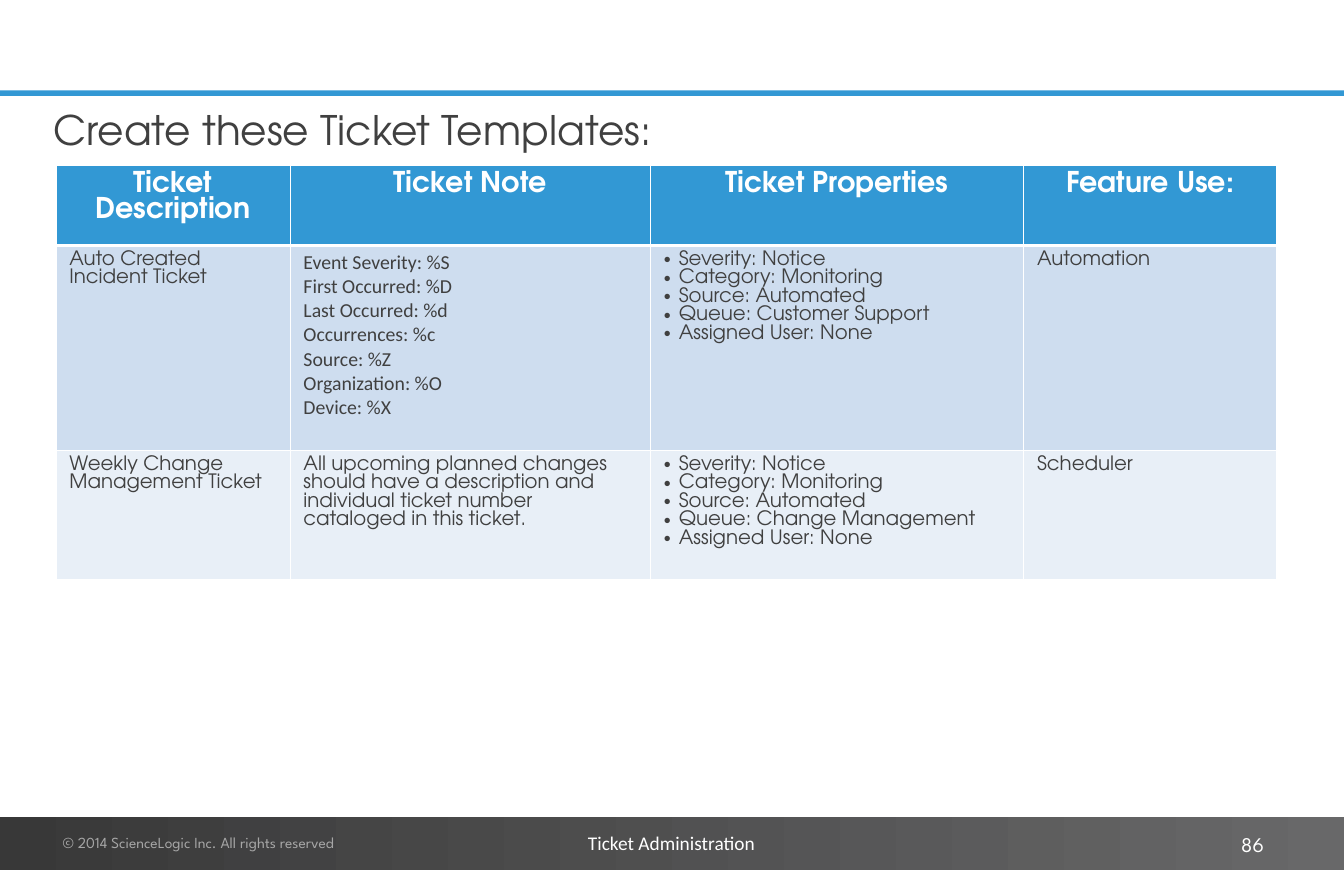
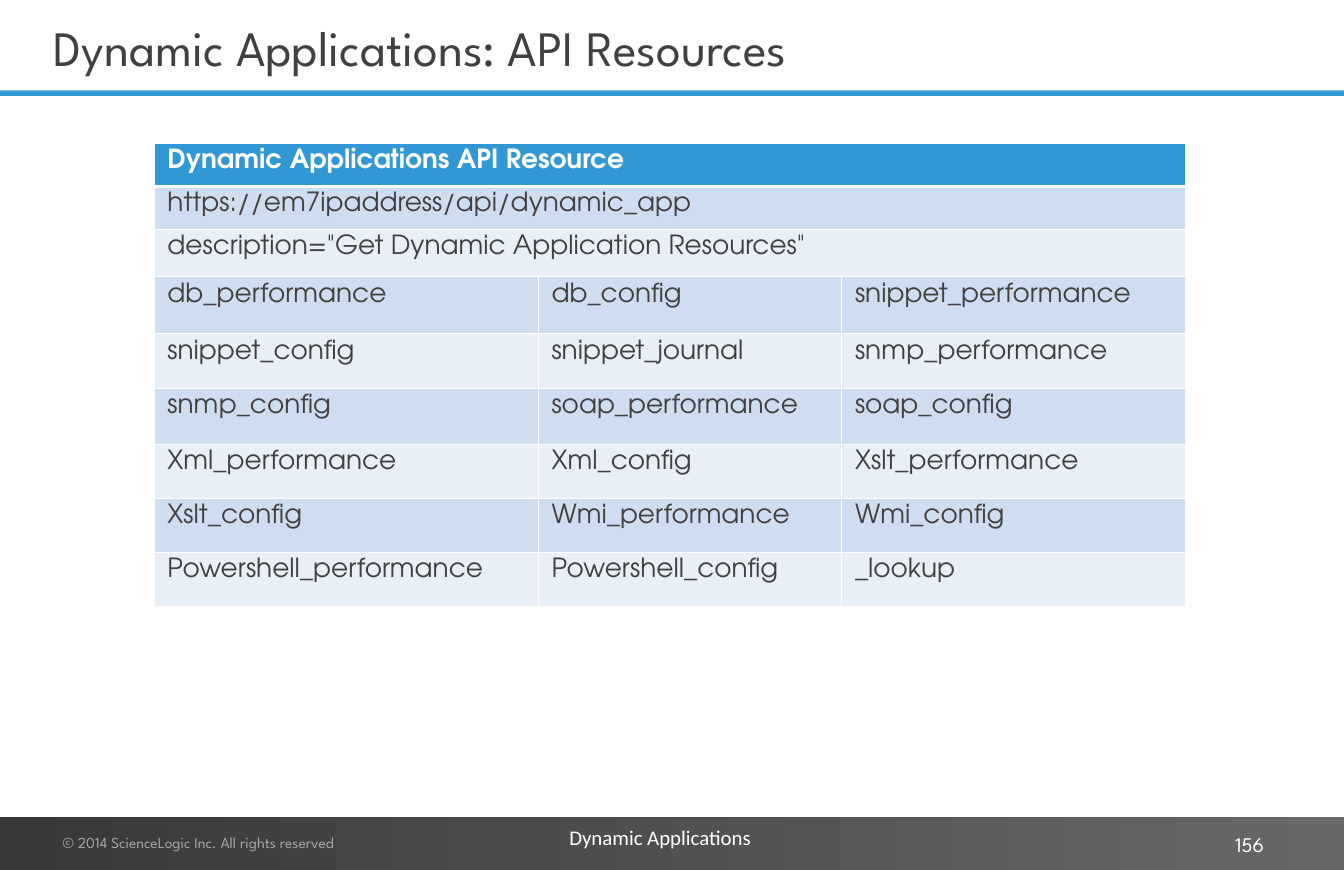
from pptx import Presentation
from pptx.dml.color import RGBColor as Rgb
from pptx.enum.shapes import MSO_SHAPE as Shape
from pptx.enum.text import MSO_ANCHOR as Anchor, PP_ALIGN as Align
from pptx.oxml.ns import qn
from pptx.util import Cm, Pt
from lxml.etree import SubElement as Sub

HUES = {"blue": "3298D4", "dark": "383838", "mid": "686869", "grey": "A6A6A6",
        "ink": "404040", "white": "FFFFFF", "odd": "CEDDEF", "even": "E8EFF7"}
HEAD, BODY, PLAIN = "League Spartan", "TeX Gyre Adventor", "Calibri"
WIDE, HIGH = 43.18, 27.94
BASE = 26.24
PAD = (0.41, 0.2)
TICKET = ["Severity: Notice", "Category: Monitoring", "Source: Automated"]
NOTES = ["Event Severity: %S", "First Occurred: %D", "Last Occurred: %d",
         "Occurrences: %c", "Source: %Z", "Organization: %O", "Device: %X"]


def hue(name):
    """Return the named colour."""
    return Rgb.from_string(HUES[name])


def write(para, text, size, font, tint, bold=False):
    """Add one styled run to a paragraph."""
    run = para.add_run()
    run.text = text
    run.font.size, run.font.name, run.font.bold = Pt(size), font, bold
    run.font.color.rgb = hue(tint)


def label(slide, box, text, size, font, tint, pad=PAD, wrap=True,
          align=Align.LEFT, anchor=Anchor.TOP, space=None):
    """Place a single line of text in a box."""
    frame = slide.shapes.add_textbox(*map(Cm, box)).text_frame
    frame.word_wrap, frame.vertical_anchor = wrap, anchor
    frame.margin_left = frame.margin_right = Cm(pad[0])
    frame.margin_top = frame.margin_bottom = Cm(pad[1])
    para = frame.paragraphs[0]
    para.alignment, para.line_spacing = align, space
    write(para, text, size, font, tint)


def band(slide, top, high):
    """Add a full-width band and return its fill."""
    bar = slide.shapes.add_shape(Shape.RECTANGLE, 0, Cm(top), Cm(WIDE), Cm(high))
    bar.shadow.inherit = False
    bar.line.fill.background()
    return bar.fill


def frame(deck, page):
    """Add a slide with its rule, footer and page number."""
    slide = deck.slides.add_slide(deck.slide_layouts[6])
    rule = band(slide, 2.9, 0.18)
    rule.solid()
    rule.fore_color.rgb = hue("blue")
    foot = band(slide, BASE, HIGH - BASE)
    foot.gradient()
    foot.gradient_angle = 0
    for stop, tint, place in zip(foot.gradient_stops, ("dark", "mid"), (0, 1)):
        stop.color.rgb, stop.position = hue(tint), place
    label(slide, (1.6, BASE + 0.33, 12.7, 1.02),
          "© 2014 ScienceLogic Inc. All rights reserved", 14, HEAD, "grey")
    label(slide, (30.94, BASE + 0.33, 10.08, 1.09), page, 19, HEAD, "white",
          align=Align.RIGHT, anchor=Anchor.MIDDLE)
    return slide


def edge(cell, row):
    """Draw white cell borders, thick below the header."""
    props = cell._tc.get_or_add_tcPr()
    for side in "LRTB":
        thick = (row, side) in ((0, "B"), (1, "T"))
        line = Sub(props, qn(f"a:ln{side}"), w=str(Pt(3 if thick else 1)))
        Sub(Sub(line, qn("a:solidFill")), qn("a:srgbClr"), val=HUES["white"])


def dot(para):
    """Give a paragraph a hanging bullet."""
    props = para._p.get_or_add_pPr()
    props.set("marL", str(Cm(0.48)))
    props.set("indent", str(-Cm(0.48)))
    Sub(props, qn("a:buFont"), typeface="Arial")
    Sub(props, qn("a:buChar"), char="•")


def fill(cell, lines, row, size, font, align):
    """Style a cell and write its lines, with bullets for a tuple."""
    edge(cell, row)
    cell.fill.solid()
    cell.fill.fore_color.rgb = hue("blue" if row == 0 else "odd" if row % 2 else "even")
    cell.margin_left = cell.margin_right = Cm(0.43)
    cell.margin_top = cell.margin_bottom = Cm(0.18)
    for num, text in enumerate(lines):
        para = cell.text_frame.paragraphs[0] if num == 0 else cell.text_frame.add_paragraph()
        para.alignment = align
        if isinstance(lines, tuple):
            dot(para)
        write(para, text, size, font, "ink" if row else "white", row == 0)


def grid(slide, spot, cols, rows, data, sizes, align=Align.LEFT, plain=()):
    """Add a table; a row with one entry spans all columns."""
    shape = slide.shapes.add_table(len(rows), len(cols), *map(Cm, spot),
                                   Cm(sum(cols)), Cm(sum(rows)))
    table = shape.table
    table.horz_banding = False
    for col, wide in zip(table.columns, cols):
        col.width = Cm(wide)
    for num, (line, high, items) in enumerate(zip(table.rows, rows, data)):
        line.height = Cm(high)
        for pos, cell in enumerate(line.cells):
            item = items[pos] if pos < len(items) else []
            fill(cell, [item] if isinstance(item, str) else item, num,
                 sizes[num > 0], PLAIN if (num, pos) in plain else BODY,
                 Align.LEFT if num else align)
        if len(items) == 1:
            table.cell(num, 0).merge(table.cell(num, len(cols) - 1))


def tickets(deck):
    """Build the ticket template slide."""
    slide = frame(deck, "86")
    label(slide, (1.32, 3.35, 39.7, 1.88), "Create these Ticket Templates:",
          37, BODY, "ink", space=0.9)
    data = [
        ["Ticket Description", "Ticket Note", "Ticket Properties", "Feature Use:"],
        ["Auto Created Incident Ticket", NOTES,
         (*TICKET, "Queue: Customer Support", "Assigned User: None"), "Automation"],
        ["Weekly Change Management Ticket",
         "All upcoming planned changes should have a description and "
         "individual ticket number cataloged in this ticket.",
         (*TICKET, "Queue: Change Management", "Assigned User: None"), "Scheduler"]]
    grid(slide, (1.8, 5.31), (7.52, 11.58, 11.99, 8.13), (2.01, 6.58, 3.91),
         data, (26, 18), Align.CENTER, [(1, 1)])
    label(slide, (18.64, BASE + 0.33, 5.92, 1.02), "Ticket Administration",
          17.6, PLAIN, "white", (0.25, 0.13), False)


def apps(deck):
    """Build the API resource slide."""
    slide = frame(deck, "156")
    label(slide, (1.32, 0.03, 37.72, 2.97), "Dynamic Applications: API Resources",
          45, HEAD, "ink", anchor=Anchor.MIDDLE)
    data = [
        ["Dynamic Applications API Resource"],
        ["https://em7ipaddress/api/dynamic_app"],
        ['description="Get Dynamic Application Resources"'],
        ["db_performance", "db_config", "snippet_performance"],
        ["snippet_config", "snippet_journal", "snmp_performance"],
        ["snmp_config", "soap_performance", "soap_config"],
        ["Xml_performance", "Xml_config", "Xslt_performance"],
        ["Xslt_config", "Wmi_performance", "Wmi_config"],
        ["Powershell_performance", "Powershell_config", "_lookup"]]
    grid(slide, (4.95, 4.62), (12.34, 9.75, 11.05),
         (1.32, 1.32, 1.52, 1.83, 1.75, 1.8, 1.73, 1.73, 1.73), data, (24, 24))
    label(slide, (17.88, BASE + 0.05, 6.73, 1.22), "Dynamic Applications",
          19, PLAIN, "white", wrap=False)


def main():
    """Build and save the deck."""
    deck = Presentation()
    deck.slide_width, deck.slide_height = Cm(WIDE), Cm(HIGH)
    tickets(deck)
    apps(deck)
    deck.save("out.pptx")


if __name__ == "__main__":
    main()
